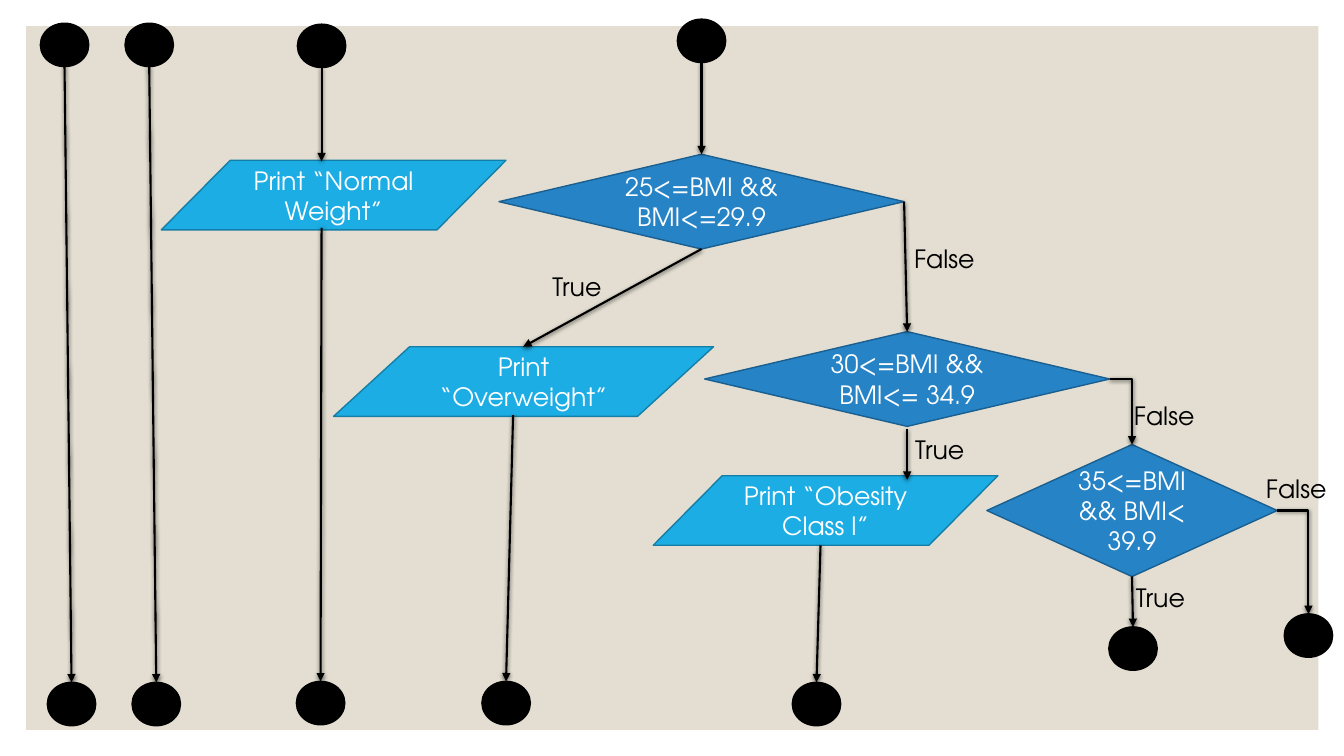
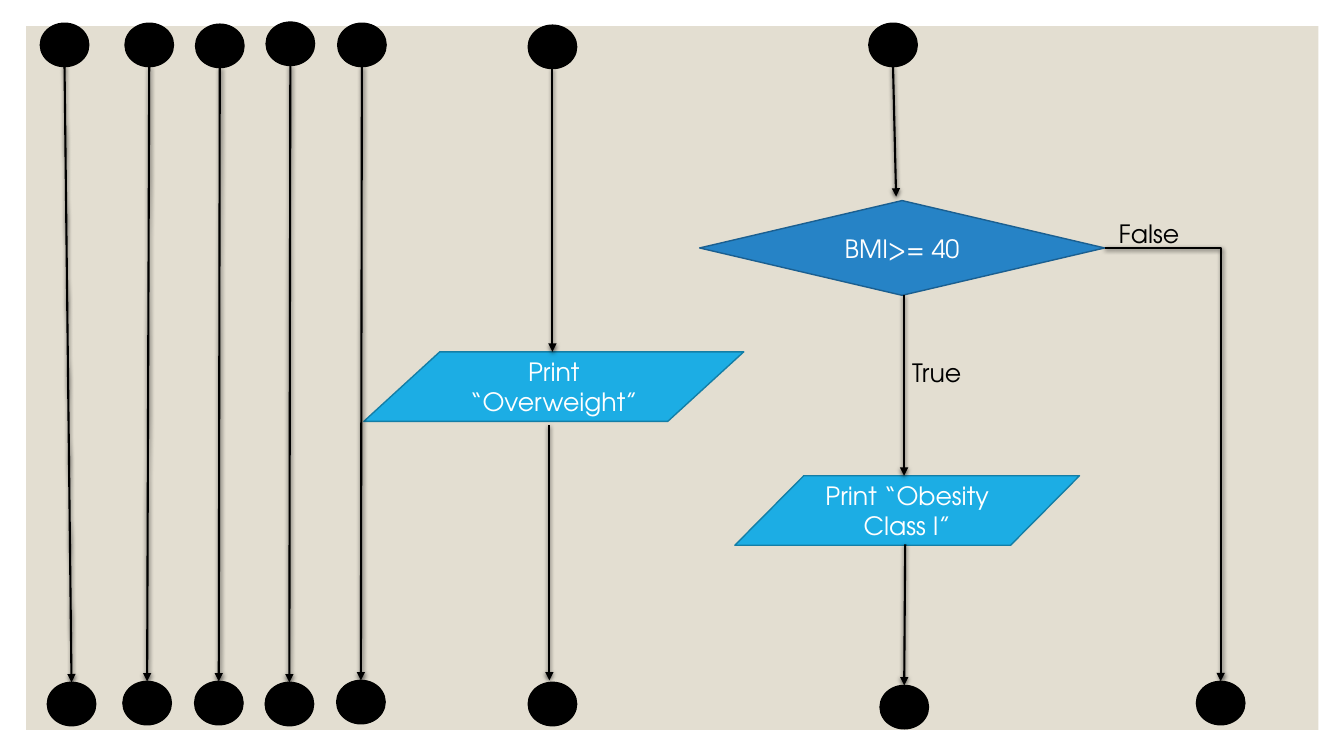
from dataclasses import dataclass

from lxml import etree
from pptx import Presentation
from pptx.dml.color import RGBColor
from pptx.enum import shapes, text
from pptx.oxml import ns
from pptx.util import Pt


@dataclass(frozen=True)
class Theme:
    panel: str = "E3DED1"
    ink: str = "000000"
    light: str = "FFFFFF"
    output: str = "1CADE4"
    output_edge: str = "147EA6"
    decision: str = "2683C6"
    decision_edge: str = "1B5F90"
    font: str = "TeX Gyre Adventor"
    size: float = 18
    edge_width: float = 1
    flow_width: float = 1.5


THEME = Theme()
SLIDE_SIZE = (960, 540)
PANEL = (18.7, 18.7, 923, 502.6)
TERMINAL_SIZE = (34.6, 31)
LABEL_SIZE = (62, 29)
TOP, BOTTOM, RIGHT = 0, 2, 3

KINDS = {
    "terminal": (shapes.MSO_SHAPE.FLOWCHART_CONNECTOR, THEME.ink, THEME.ink),
    "output": (shapes.MSO_SHAPE.FLOWCHART_DATA, THEME.output, THEME.output_edge),
    "decision": (shapes.MSO_SHAPE.FLOWCHART_DECISION, THEME.decision, THEME.decision_edge),
}

CHARTS = [
    {
        "lanes": [((28.8, 16.6), (33.8, 487.4)), ((89.3, 16.6), (94.3, 487.4))],
        "terminals": {
            "normal in": (212.4, 17.3),
            "normal out": (211.7, 486.7),
            "check in": (483.8, 13.7),
            "overweight out": (344.2, 486.7),
            "class one out": (565.9, 487.4),
            "class two": (792, 447.8),
            "class three": (917.3, 438.5),
        },
        "outputs": [
            ("Print “Normal Weight”", (115.2, 114.5, 246.2, 49.7)),
            ("Print “Overweight”", (238.3, 247.7, 271.4, 49.7)),
            ("Print “Obesity Class I”", (466.6, 339.8, 246.2, 49.7)),
        ],
        "decisions": {
            "overweight": ("25<=BMI && BMI<=29.9", (356.4, 110.2, 289.4, 67.7)),
            "class one": ("30<=BMI && BMI<= 34.9", (503.3, 236.9, 289.4, 67.7)),
            "class two check": ("35<=BMI && BMI< 39.9", (704.9, 317.5, 207.4, 94.3)),
        },
        "flows": [
            (("normal in", BOTTOM), (229.7, 115.2)),
            ((229.7, 162.7), ("normal out", TOP)),
            (("check in", BOTTOM), ("overweight", TOP)),
            (("overweight", BOTTOM), (373.7, 247.7)),
            (("overweight", RIGHT), ("class one", TOP)),
            ((366.5, 296.6), ("overweight out", TOP)),
            ((648, 306.7), (648, 342.7)),
            ((586.1, 389.5), ("class one out", TOP)),
            (("class two check", BOTTOM), ("class two", TOP)),
        ],
        "elbows": [
            (("class one", RIGHT), ("class two check", TOP)),
            (("class two check", RIGHT), ("class three", TOP)),
        ],
        "labels": [
            ("False", (645.8, 169.9)),
            ("True", (646.6, 306.7)),
            ("True", (387.4, 190.1)),
            ("False", (802.8, 282.2)),
            ("False", (897.1, 334.8)),
            ("True", (804.2, 412.6)),
        ],
    },
    {
        "lanes": [
            ((28.8, 16.6), (33.8, 487.4)),
            ((89.3, 16.6), (87.8, 486.7)),
            ((139.7, 17.3), (139, 486.7)),
            ((190.1, 15.8), (189.4, 487.4)),
            ((241.2, 16.6), (240.5, 486)),
        ],
        "terminals": {
            "overweight in": (377.3, 18),
            "overweight out": (377.3, 487.4),
            "check in": (620.6, 16.6),
            "obesity out": (628.6, 489.6),
            "end": (854.6, 486.7),
        },
        "outputs": [
            ("Print “Overweight”", (259.9, 251.3, 271.4, 49.7)),
            ("Print “Obesity Class I”", (524.9, 339.8, 246.2, 49.7)),
        ],
        "decisions": {"obesity": ("BMI>= 40", (499.7, 143.3, 289.4, 67.7))},
        "flows": [
            (("overweight in", BOTTOM), (394.6, 251.3)),
            ((392.4, 303.8), (392.4, 486)),
            (("check in", BOTTOM), (640.1, 140.4)),
            ((645.8, 211), (645.8, 339.8)),
            ((646.6, 388.8), ("obesity out", TOP)),
        ],
        "elbows": [(("obesity", RIGHT), ("end", TOP))],
        "labels": [("True", (644.4, 252)), ("False", (792, 152.6))],
    },
]


def points(values):
    return [Pt(value) for value in values]


def write(frame, words, color, align):
    frame.text = words
    paragraph = frame.paragraphs[0]
    paragraph.alignment = align
    font = paragraph.runs[0].font
    font.name, font.size = THEME.font, Pt(THEME.size)
    font.color.rgb = RGBColor.from_string(color)


def add_node(slide, kind, box, words=None):
    preset, fill, edge = KINDS[kind]
    node = slide.shapes.add_shape(preset, *points(box))
    node.shadow.inherit = False
    node.fill.solid()
    node.fill.fore_color.rgb = RGBColor.from_string(fill)
    node.line.color.rgb = RGBColor.from_string(edge)
    node.line.width = Pt(THEME.edge_width)
    if words:
        node.text_frame.vertical_anchor = text.MSO_ANCHOR.MIDDLE
        write(node.text_frame, words, THEME.light, text.PP_ALIGN.CENTER)
    return node


def add_terminal(slide, corner):
    return add_node(slide, "terminal", corner + TERMINAL_SIZE)


def add_label(slide, words, corner):
    label = slide.shapes.add_textbox(*points(corner + LABEL_SIZE))
    label.text_frame.word_wrap = False
    write(label.text_frame, words, THEME.ink, text.PP_ALIGN.LEFT)


def locate(end, nodes):
    if not isinstance(end[0], str):
        return points(end)
    node, side = nodes[end[0]], end[1]
    if side == RIGHT:
        return node.left + node.width, node.top + node.height // 2
    return node.left + node.width // 2, node.top + (node.height if side == BOTTOM else 0)


def joins(end, nodes):
    if not isinstance(end[0], str):
        return False
    round_node = nodes[end[0]].auto_shape_type == shapes.MSO_SHAPE.FLOWCHART_CONNECTOR
    return end[1] == TOP or not round_node


def add_flow(slide, start, finish, nodes, elbow=False):
    kind = shapes.MSO_CONNECTOR.ELBOW if elbow else shapes.MSO_CONNECTOR.STRAIGHT
    flow = slide.shapes.add_connector(kind, *locate(start, nodes), *locate(finish, nodes))
    properties = flow.element.spPr
    if elbow:
        properties.find(ns.qn("a:prstGeom")).set("prst", "bentConnector2")
    else:
        for end, connect in ((start, flow.begin_connect), (finish, flow.end_connect)):
            if joins(end, nodes):
                connect(nodes[end[0]], end[1])
    flow.line.color.rgb = RGBColor.from_string(THEME.ink)
    flow.line.width = Pt(THEME.flow_width)
    etree.SubElement(properties.find(ns.qn("a:ln")), ns.qn("a:tailEnd"), type="triangle")
    effects = etree.SubElement(properties, ns.qn("a:effectLst"))
    shadow = etree.SubElement(effects, ns.qn("a:outerShdw"), blurRad="38100",
                              dist="12700", dir="5400000", rotWithShape="0")
    color = etree.SubElement(shadow, ns.qn("a:srgbClr"), val=THEME.ink)
    etree.SubElement(color, ns.qn("a:alpha"), val="63000")


def add_panel(slide, layout):
    panel = slide.shapes.add_shape(shapes.MSO_SHAPE.RECTANGLE, *points(PANEL))
    panel.shadow.inherit = False
    panel.fill.solid()
    panel.fill.fore_color.rgb = RGBColor.from_string(THEME.panel)
    panel.line.fill.background()
    layout.shapes.element.append(panel.element)


def draw_chart(slide, chart):
    nodes = {name: add_terminal(slide, corner) for name, corner in chart["terminals"].items()}
    for name, (words, box) in chart["decisions"].items():
        nodes[name] = add_node(slide, "decision", box, words)
    for words, box in chart["outputs"]:
        add_node(slide, "output", box, words)
    for upper, lower in chart["lanes"]:
        lane = {"in": add_terminal(slide, upper), "out": add_terminal(slide, lower)}
        add_flow(slide, ("in", BOTTOM), ("out", TOP), lane)
    for start, finish in chart["flows"]:
        add_flow(slide, start, finish, nodes)
    for start, finish in chart["elbows"]:
        add_flow(slide, start, finish, nodes, elbow=True)
    for words, corner in chart["labels"]:
        add_label(slide, words, corner)


def main():
    deck = Presentation()
    deck.slide_width, deck.slide_height = points(SLIDE_SIZE)
    layout = deck.slide_layouts[6]
    for number, chart in enumerate(CHARTS):
        slide = deck.slides.add_slide(layout)
        if number == 0:
            add_panel(slide, layout)
        draw_chart(slide, chart)
    deck.save("out.pptx")


if __name__ == "__main__":
    main()
